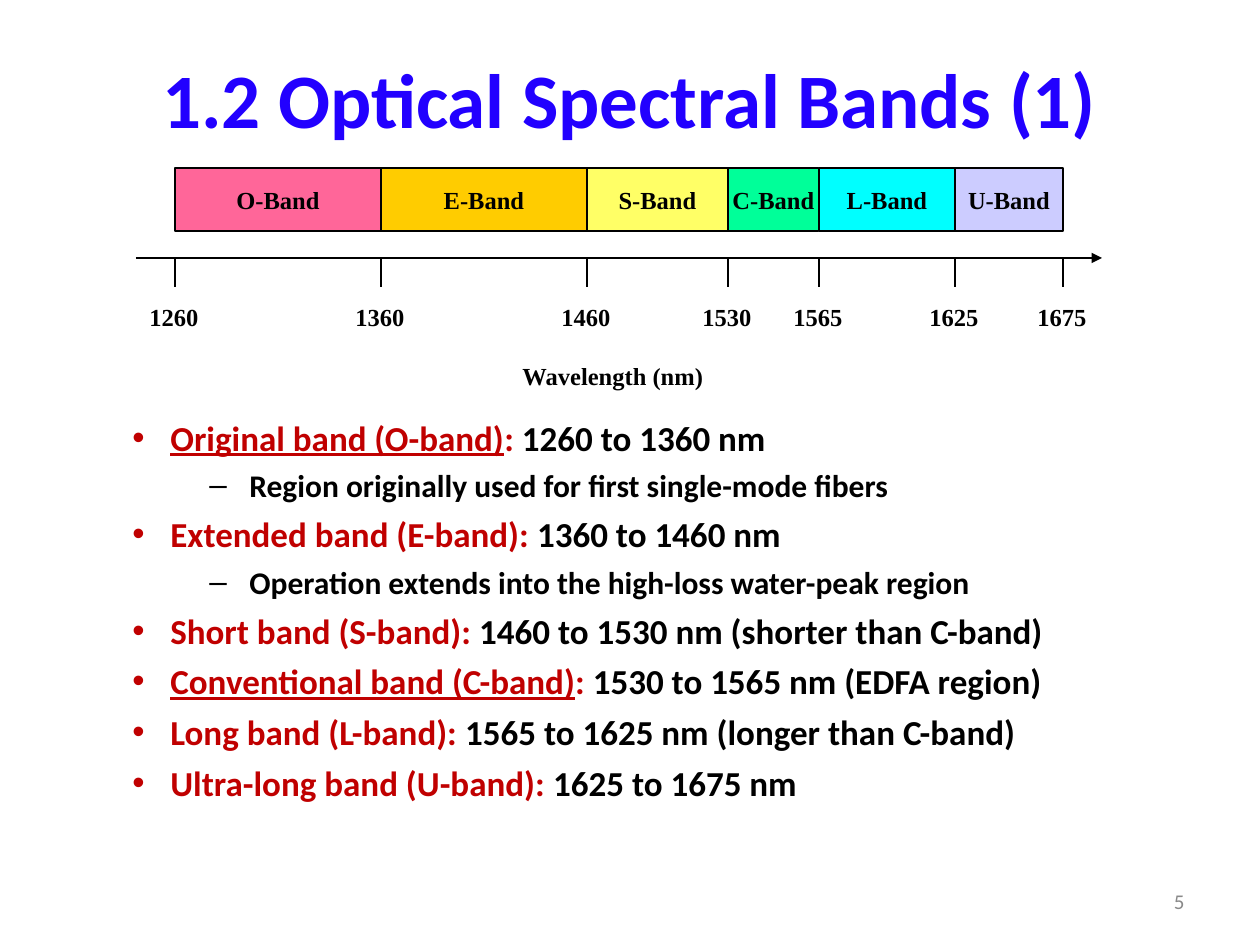
from lxml import etree
from pptx import Presentation
from pptx.dml.color import RGBColor
from pptx.enum.shapes import MSO_CONNECTOR, MSO_SHAPE
from pptx.enum.text import MSO_ANCHOR, PP_ALIGN
from pptx.oxml.ns import qn
from pptx.util import Emu, Pt

LEFT, CENTER, RIGHT = PP_ALIGN.LEFT, PP_ALIGN.CENTER, PP_ALIGN.RIGHT
TOP, MIDDLE = MSO_ANCHOR.TOP, MSO_ANCHOR.MIDDLE
RECT, STRAIGHT = MSO_SHAPE.RECTANGLE, MSO_CONNECTOR.STRAIGHT
PX = 914400 // 126

COLORS = {
    "title": "2200FF", "text": "000000", "term": "C00000", "number": "898989",
    "O": "FF6699", "E": "FFCC00", "S": "FFFF66",
    "C": "00FF99", "L": "00FFFF", "U": "CCCCFF",
}
# Wavelength in nm and its x position in px
MARKS = [(1260, 175), (1360, 381), (1460, 587), (1530, 728),
         (1565, 819), (1625, 955), (1675, 1063)]
BANDS = "OESCLU"

# Term, whether it is underlined, range, detail line
DEFINITIONS = [
    ("Original band (O-band)", True, "1260 to 1360 nm",
     "Region originally used for first single-mode fibers"),
    ("Extended band (E-band)", False, "1360 to 1460 nm",
     "Operation extends into the high-loss water-peak region"),
    ("Short band (S-band)", False, "1460 to 1530 nm (shorter than C-band)", None),
    ("Conventional band (C-band)", True, "1530 to 1565 nm (EDFA region)", None),
    ("Long band (L-band)", False, "1565 to 1625 nm (longer than C-band)", None),
    ("Ultra-long band (U-band)", False, "1625 to 1675 nm", None),
]
TERM_LEVEL = {"char": "•", "color": "term", "left": 95, "hang": 38, "before": 5}
DETAIL_LEVEL = {"char": "–", "color": "text", "left": 174, "hang": 40, "before": 4.5}

TITLE_FONT = {"name": "Calibri", "size": Pt(44), "bold": True}
TERM_FONT = {"name": "Calibri", "size": Pt(20), "bold": True}
DETAIL_FONT = {"name": "Calibri", "size": Pt(18), "bold": True}
NUMBER_FONT = {"name": "Calibri", "size": Pt(12)}
CHART_FONT = {"name": "Times New Roman", "size": Pt(14), "bold": True}

BAND_TOP, BAND_H = 168, 63
AXIS_Y, AXIS_LEFT, AXIS_RIGHT, TICK_H = 258, 136, 1102, 29
LABEL_TOP, LABEL_W, LABEL_H, LABEL_SHIFT = 296, 74, 43, 38


def px(*values):
    return [Emu(v * PX) for v in values]


def rgb(name):
    return RGBColor.from_string(COLORS[name])


def add_run(p, text, font, color="text", **extra):
    r = p.add_run()
    r.text = text
    for key, value in {**font, **extra}.items():
        setattr(r.font, key, value)
    r.font.color.rgb = rgb(color)


def set_text(sp, text, font, color="text", align=LEFT, anchor=TOP, wrap=False):
    tf = sp.text_frame
    tf.word_wrap, tf.vertical_anchor = wrap, anchor
    p = tf.paragraphs[0]
    p.alignment = align
    add_run(p, text, font, color)


def add_text(shapes, box, *args, **kwargs):
    set_text(shapes.add_textbox(*px(*box)), *args, **kwargs)


def add_line(shapes, x1, y1, x2, y2, width, arrow=False):
    line = shapes.add_connector(STRAIGHT, *px(x1, y1, x2, y2))
    line.line.color.rgb = rgb("text")
    line.line.width = Pt(width)
    if arrow:
        etree.SubElement(line.line._get_or_add_ln(), qn("a:tailEnd"), type="triangle")
    etree.SubElement(line._element.spPr, qn("a:effectLst"))


def set_bullet(p, level):
    p.space_before = Pt(level["before"])
    pPr = p._p.get_or_add_pPr()
    pPr.set("marL", str(level["left"] * PX))
    pPr.set("indent", str(-level["hang"] * PX))
    color = etree.SubElement(pPr, qn("a:buClr"))
    etree.SubElement(color, qn("a:srgbClr"), val=COLORS[level["color"]])
    etree.SubElement(pPr, qn("a:buFont"), typeface="Arial")
    etree.SubElement(pPr, qn("a:buChar"), char=level["char"])


def add_spectrum(shapes):
    add_line(shapes, AXIS_LEFT, AXIS_Y, AXIS_RIGHT, AXIS_Y, 1.5, arrow=True)
    for band, (_, left), (_, right) in zip(BANDS, MARKS, MARKS[1:]):
        sp = shapes.add_shape(RECT, *px(left, BAND_TOP, right - left, BAND_H))
        sp.shadow.inherit = False
        sp.fill.solid()
        sp.fill.fore_color.rgb = rgb(band)
        sp.line.color.rgb = rgb("text")
        sp.line.width = Pt(0.75)
        set_text(sp, f"{band}-Band", CHART_FONT, align=CENTER, anchor=MIDDLE)
    for wavelength, x in MARKS:
        add_line(shapes, x, AXIS_Y, x, AXIS_Y + TICK_H, 0.75)
        add_text(shapes, (x - LABEL_SHIFT, LABEL_TOP, LABEL_W, LABEL_H),
                 str(wavelength), CHART_FONT)
    add_text(shapes, (510, 355, 207, LABEL_H), "Wavelength (nm)", CHART_FONT)


def add_definitions(shapes):
    tf = shapes.add_textbox(*px(63, 410, 1134, 434)).text_frame
    tf.word_wrap = True
    paragraphs = []

    def next_paragraph(level):
        p = tf.add_paragraph() if paragraphs else tf.paragraphs[0]
        paragraphs.append(p)
        set_bullet(p, level)
        return p

    for term, underline, span, detail in DEFINITIONS:
        p = next_paragraph(TERM_LEVEL)
        add_run(p, term, TERM_FONT, "term", underline=underline)
        add_run(p, ": ", TERM_FONT, "term")
        add_run(p, span, TERM_FONT)
        if detail:
            add_run(next_paragraph(DETAIL_LEVEL), detail, DETAIL_FONT)


def main():
    prs = Presentation()
    prs.slide_width, prs.slide_height = px(1260, 945)
    s = prs.slides.add_slide(prs.slide_layouts[6])
    add_text(s.shapes, (63, 38, 1134, 120), "1.2 Optical Spectral Bands (1)",
             TITLE_FONT, "title", CENTER, MIDDLE, wrap=True)
    add_definitions(s.shapes)
    add_text(s.shapes, (903, 876, 294, 50), "5",
             NUMBER_FONT, "number", RIGHT, MIDDLE, wrap=True)
    add_spectrum(s.shapes.add_group_shape().shapes)
    prs.save("out.pptx")


if __name__ == "__main__":
    main()
